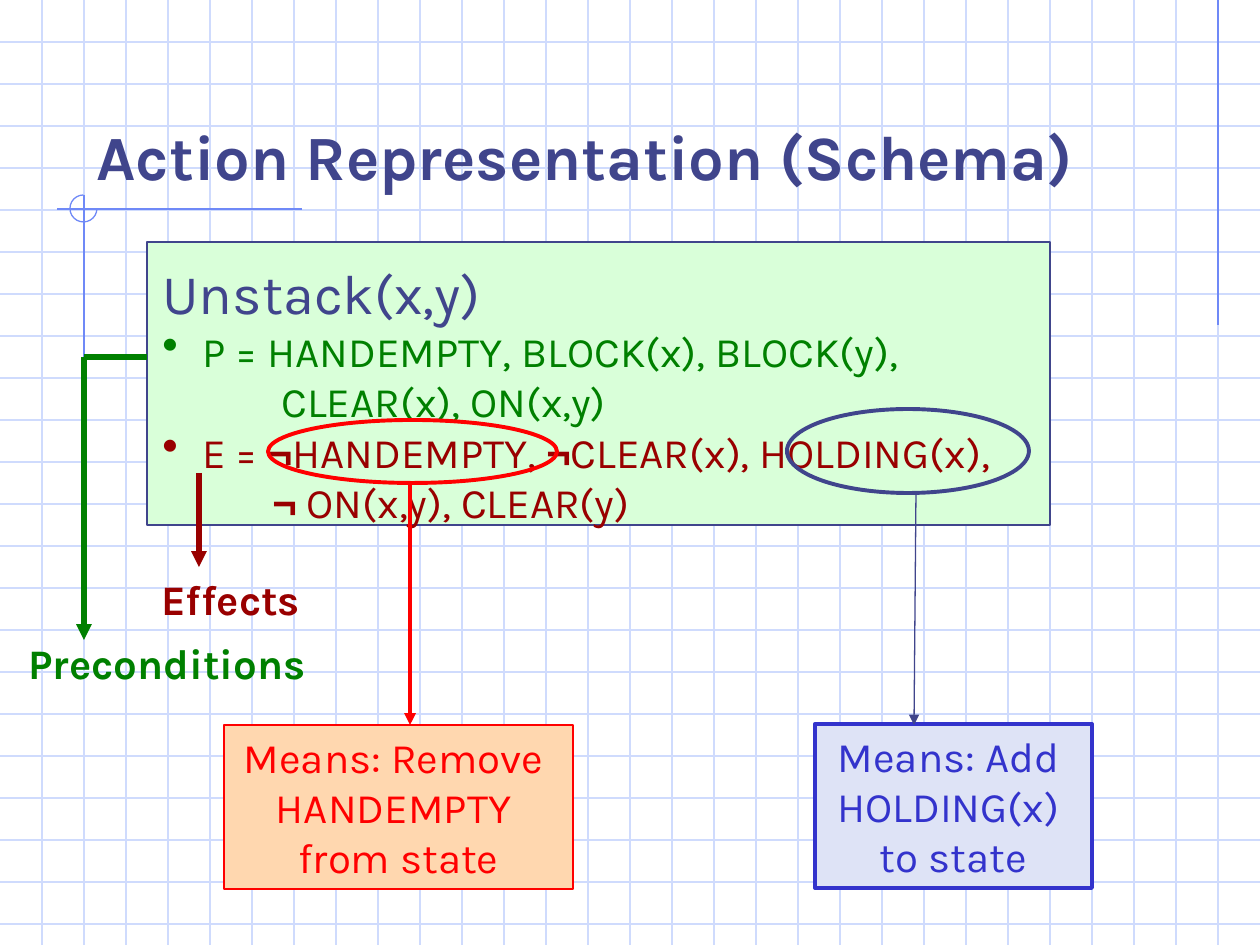
from lxml.etree import SubElement
from pptx import Presentation
from pptx.dml.color import RGBColor
from pptx.enum.shapes import MSO_CONNECTOR as Connector, MSO_SHAPE as Shape
from pptx.enum.text import MSO_ANCHOR as Anchor, MSO_AUTO_SIZE as AutoSize, PP_ALIGN as Align
from pptx.oxml.ns import qn
from pptx.util import Pt

WIDTH, HEIGHT, GRID_STEP = 1260, 945, 42
FONT, SYMBOL_FONT = "Karla", "Arial"
NAVY, GREEN, MAROON, RED, BLUE = "40458C", "008000", "990000", "FF0000", "3333CC"
GRID, ACCENT = "CFDBFD", "6F89F7"

TITLE = "Action Representation (Schema)"
ACCENT_LINES = [(1218, 0, 1218, 325), (302, 209, 57, 209), (84, 195, 84, 515)]
SCHEMA_PANEL = (147, 242, 903, 283)
SCHEMA_TEXT = (150, 252, 900, 282)
SCHEMA = [
    ("Unstack(x,y)", 32, NAVY, 0, False),
    ("P = HANDEMPTY, BLOCK(x), BLOCK(y), ", 24, GREEN, 40, True),
    ("CLEAR(x), ON(x,y)", 24, GREEN, 119, False),
    ("E = ¬HANDEMPTY, ¬CLEAR(x), HOLDING(x),", 24, MAROON, 40, True),
    ("¬ ON(x,y), CLEAR(y)", 24, MAROON, 110, False),
]
ELLIPSES = [((268, 420, 289, 63), RED), ((787, 409, 242, 84), NAVY)]
MEANINGS = [
    ((224, 725, 349, 164), "FFD7AF", RED, 0.75, ["Means: Remove ", "HANDEMPTY ", "from state"]),
    ((815, 724, 277, 164), "DEE3F6", BLUE, 2.25, ["Means: Add ", "HOLDING(x) ", "to state"]),
]
LABELS = [((16, 631, 315, 63), "Preconditions", GREEN), ((149, 567, 166, 63), "Effects", MAROON)]
POINTERS = [
    ((410, 483, 410, 725), RED, 2.25, True),
    ((916, 493, 914, 725), NAVY, 0.75, True),
    ((84, 357, 84, 640), GREEN, 3, True),
    ((84, 357, 147, 357), GREEN, 3, False),
    ((199, 473, 199, 567), MAROON, 3, True),
]


def px(*lengths):
    return [round(length * 914400 / 126) for length in lengths]


def color(value):
    return RGBColor.from_string(value)


def add_line(slide, ends, line_color, width=0.75, arrow=False):
    line = slide.shapes.add_connector(Connector.STRAIGHT, *px(*ends))
    line.line.color.rgb = color(line_color)
    line.line.width = Pt(width)
    if arrow:
        SubElement(line.line._get_or_add_ln(), qn("a:tailEnd"), type="triangle")
    SubElement(line._element.spPr, qn("a:effectLst"))


def add_shape(slide, kind, box, line_color, width=0.75, fill=None):
    shape = slide.shapes.add_shape(kind, *px(*box))
    shape.shadow.inherit = False
    if fill:
        shape.fill.solid()
        shape.fill.fore_color.rgb = color(fill)
    else:
        shape.fill.background()
    shape.line.color.rgb = color(line_color)
    shape.line.width = Pt(width)
    return shape


def add_run(paragraph, text, size, text_color, bold=False, font=FONT):
    run = paragraph.add_run()
    run.text = text
    run.font.name, run.font.size, run.font.bold = font, Pt(size), bold
    run.font.color.rgb = color(text_color)


def add_text_box(slide, box):
    frame = slide.shapes.add_textbox(*px(*box)).text_frame
    frame.word_wrap = True
    return frame


def indent(paragraph, margin, bullet_color):
    properties = paragraph._p.get_or_add_pPr()
    left = px(margin)[0]
    properties.set("marL", str(left))
    if bullet_color:
        properties.set("indent", str(-left))
        tint = SubElement(properties, qn("a:buClr"))
        SubElement(tint, qn("a:srgbClr"), val=bullet_color)
        SubElement(properties, qn("a:buSzPct"), val="110000")
        SubElement(properties, qn("a:buChar"), char="•")


def add_background(slide):
    for y in range(GRID_STEP, HEIGHT, GRID_STEP):
        add_line(slide, (0, y, WIDTH, y), GRID)
    for x in range(GRID_STEP, WIDTH, GRID_STEP):
        add_line(slide, (x, 0, x, HEIGHT), GRID)
    for ends in ACCENT_LINES:
        add_line(slide, ends, ACCENT)
    arc = add_shape(slide, Shape.ARC, (70, 195, 27, 27), ACCENT)
    arc.adjustments[0], arc.adjustments[1] = 0, 162


def place_title(slide):
    title = slide.shapes.title
    title.left, title.top, title.width, title.height = px(84, 42, 1071, 157)
    frame = title.text_frame
    frame.vertical_anchor, frame.auto_size = Anchor.BOTTOM, AutoSize.NONE
    frame.paragraphs[0].alignment = Align.LEFT
    add_run(frame.paragraphs[0], TITLE, 36, NAVY, True)
    slide.shapes._spTree.append(title._element)


def add_schema(slide):
    frame = add_text_box(slide, SCHEMA_TEXT)
    for index, (text, size, text_color, margin, bullet) in enumerate(SCHEMA):
        paragraph = frame.add_paragraph() if index else frame.paragraphs[0]
        indent(paragraph, margin, text_color if bullet else None)
        for position, part in enumerate(text.split("¬")):
            if position:
                add_run(paragraph, "¬", size, text_color, True, SYMBOL_FONT)
            if part:
                add_run(paragraph, part, size, text_color)


def add_meaning(slide, box, fill, text_color, width, lines):
    frame = add_shape(slide, Shape.RECTANGLE, box, text_color, width, fill).text_frame
    frame.word_wrap, frame.vertical_anchor = True, Anchor.TOP
    paragraph = frame.paragraphs[0]
    paragraph.alignment = Align.CENTER
    for index, line in enumerate(lines):
        if index:
            paragraph.add_line_break()
        add_run(paragraph, line, 24, text_color)


def main():
    """Build the action schema slide and save it."""
    presentation = Presentation()
    presentation.slide_width, presentation.slide_height = px(WIDTH, HEIGHT)
    slide = presentation.slides.add_slide(presentation.slide_layouts[5])
    add_background(slide)
    add_shape(slide, Shape.RECTANGLE, SCHEMA_PANEL, NAVY, fill="D9FFD9")
    place_title(slide)
    add_schema(slide)
    for box, line_color in ELLIPSES:
        add_shape(slide, Shape.OVAL, box, line_color, 2.25)
    for meaning in MEANINGS:
        add_meaning(slide, *meaning)
    for box, text, text_color in LABELS:
        add_run(add_text_box(slide, box).paragraphs[0], text, 24, text_color, True)
    for pointer in POINTERS:
        add_line(slide, *pointer)
    presentation.save("out.pptx")


if __name__ == "__main__":
    main()
